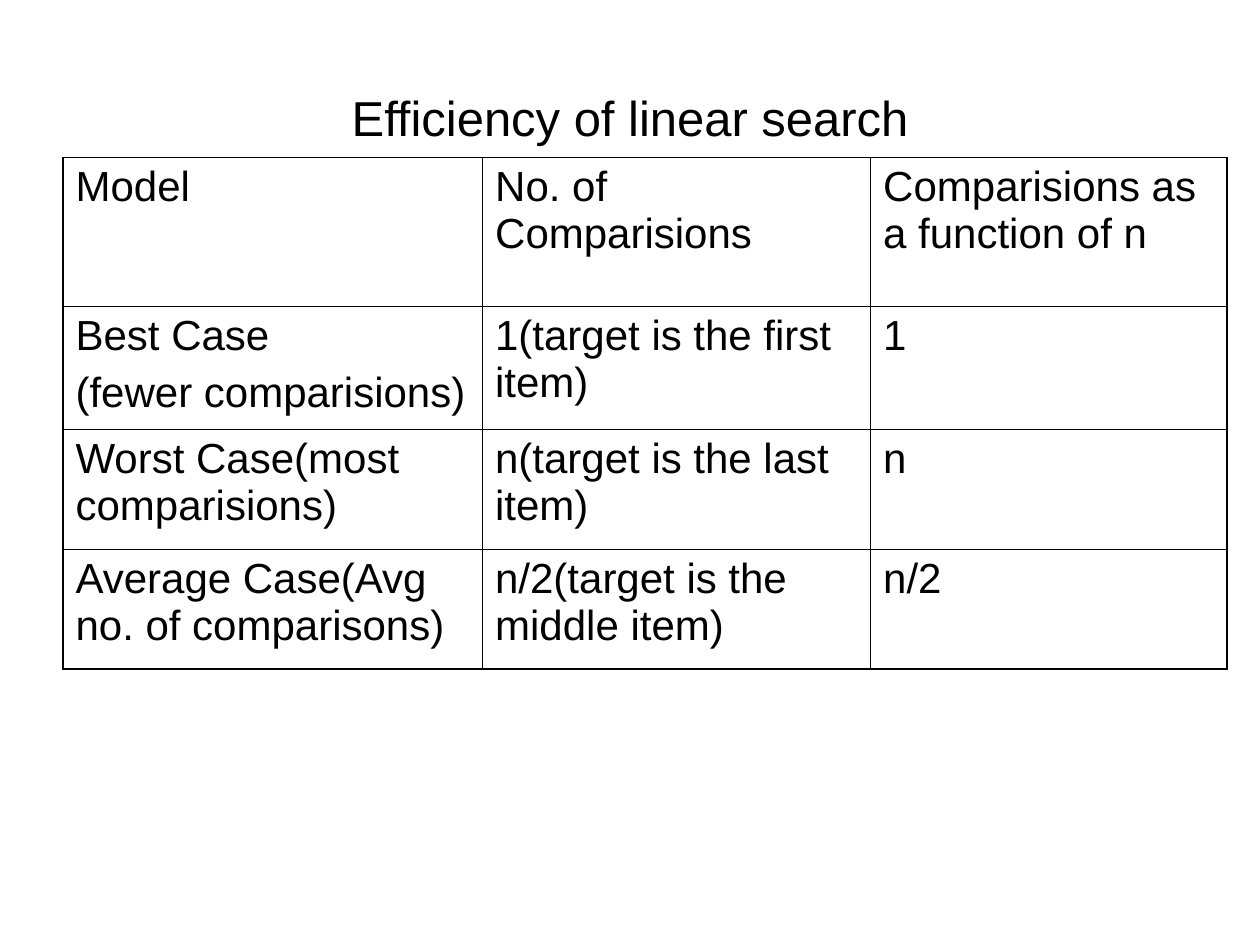
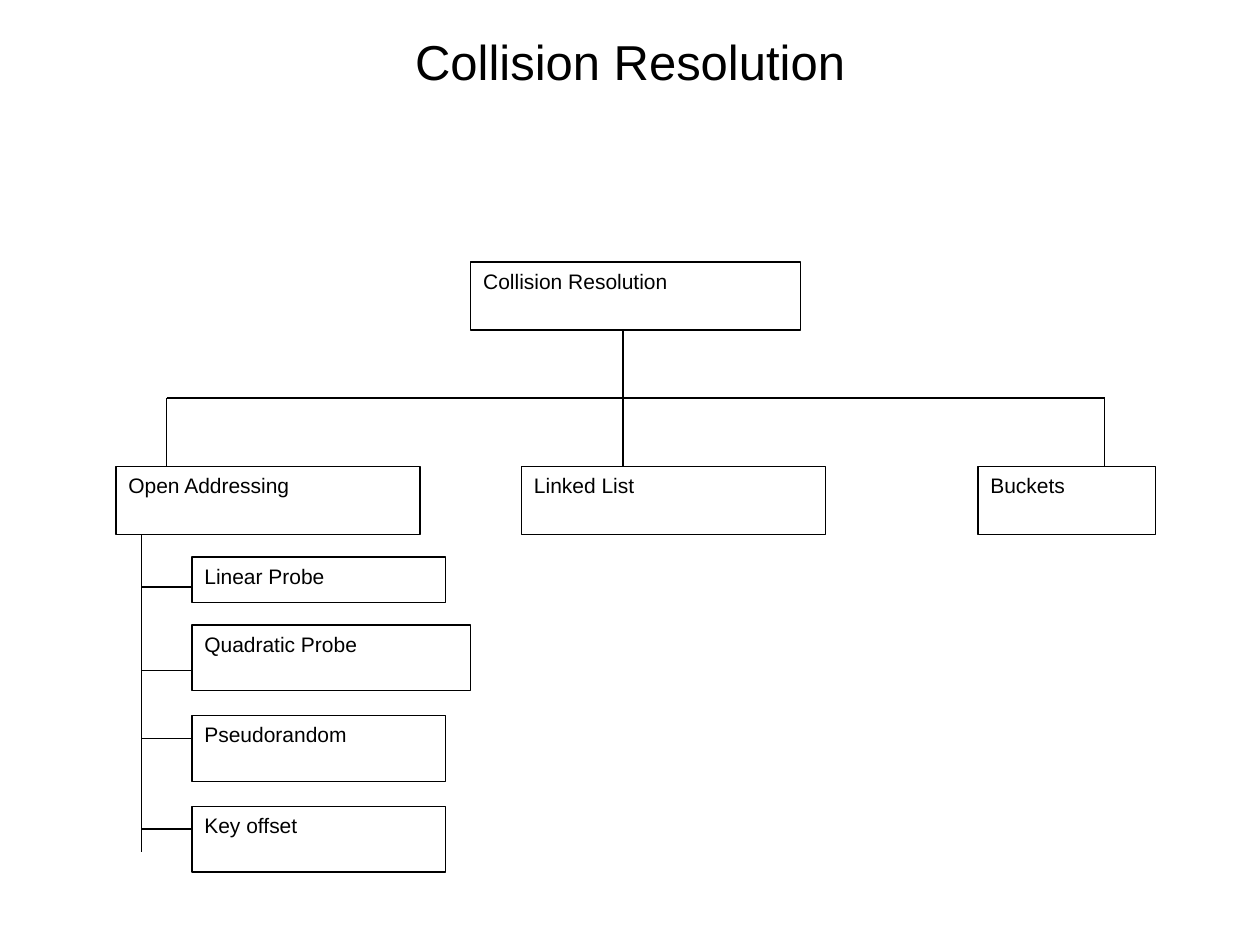
"""Build two slides: a linear search efficiency table and a collision resolution tree."""
import pptx
import pptx.dml.color
import pptx.enum.shapes
import pptx.enum.text
import pptx.oxml
import pptx.oxml.ns
import pptx.util
from lxml import etree

BLACK = pptx.dml.color.RGBColor(0, 0, 0)
WHITE = pptx.dml.color.RGBColor(255, 255, 255)
TITLE_FORMAT = {"name": "Arial", "size": pptx.util.Pt(28), "bold": False}
TABLE_FORMAT = {"name": "Arial", "size": pptx.util.Pt(24), "bold": False}
NODE_FORMAT = {"name": "Arial", "size": pptx.util.Pt(12), "bold": False}
FRAME_FORMAT = {
    "word_wrap": True,
    "vertical_anchor": pptx.enum.text.MSO_ANCHOR.TOP,
    "auto_size": pptx.enum.text.MSO_AUTO_SIZE.NONE,
}

EFFICIENCY_TITLE = "Efficiency of linear search"
EFFICIENCY_ROWS = [
    ("Model", "No. of Comparisions", "Comparisions as a function of n"),
    ("Best Case\n(fewer comparisions)", "1(target is the first item)", "1"),
    ("Worst Case(most comparisions)", "n(target is the last item)", "n"),
    ("Average Case(Avg no. of comparisons)", "n/2(target is the middle item)", "n/2"),
]
COLUMN_WIDTHS = (3.33, 3.08, 2.83)
ROW_HEIGHTS = (1.18, 0.98, 0.95, 0.95)
OUTER_LINE, INNER_LINE = 1.08, 0.45

COLLISION_TITLE = "Collision Resolution"
TREE_LEFT, TREE_TOP = 0.92, 2.08
TREE_COLUMN, TREE_ROW = 8.25 / 41, 0.18
ROOT = ("Collision Resolution", 14, 0, 13, 3)
ROOT_STEM, BRANCH_ROW, METHOD_ROW = 20, 6, 9
METHODS = [
    ("Open Addressing", 0, 12, 2),
    ("Linked List", 16, 12, 20),
    ("Buckets", 34, 7, 39),
]
PROBE_STEM, PROBE_COLUMN, PROBE_END = 1, 3, 26
PROBES = [
    ("Linear Probe", 13, 10, 2, 14.33),
    ("Quadratic Probe", 16, 11, 2.9, 18),
    ("Pseudorandom", 20, 10, 2.9, 21),
    ("Key offset", 24, 10, 2.9, 25),
]


def apply(target, values):
    for name, value in values.items():
        setattr(target, name, value)


def format_paragraph(paragraph, font_format):
    apply(paragraph.font, font_format)
    paragraph.font.color.rgb = BLACK


def add_titled_slide(presentation, text, height):
    slide = presentation.slides.add_slide(presentation.slide_layouts[5])
    title = slide.shapes.title
    apply(title, {
        "left": int(presentation.slide_width * 0.05),
        "top": int(presentation.slide_height * 0.04),
        "width": int(presentation.slide_width * 0.9),
        "height": pptx.util.Inches(height),
    })
    title.text_frame.text = text
    apply(title.text_frame, FRAME_FORMAT)
    title.text_frame.vertical_anchor = pptx.enum.text.MSO_ANCHOR.MIDDLE
    paragraph = title.text_frame.paragraphs[0]
    paragraph.alignment = pptx.enum.text.PP_ALIGN.CENTER
    format_paragraph(paragraph, TITLE_FORMAT)
    return slide


def set_borders(cell, widths):
    properties = cell._tc.get_or_add_tcPr()
    for position, (side, width) in enumerate(widths.items()):
        line = pptx.oxml.parse_xml(
            f'<a:ln{side} {pptx.oxml.ns.nsdecls("a")} w="{int(pptx.util.Pt(width))}">'
            f'<a:solidFill><a:srgbClr val="{BLACK}"/></a:solidFill></a:ln{side}>')
        properties.insert(position, line)


def add_efficiency_table(slide):
    last_row, last_column = len(ROW_HEIGHTS) - 1, len(COLUMN_WIDTHS) - 1
    table = slide.shapes.add_table(
        len(ROW_HEIGHTS), len(COLUMN_WIDTHS), pptx.util.Inches(0.5), pptx.util.Inches(1.25),
        pptx.util.Inches(sum(COLUMN_WIDTHS)), pptx.util.Inches(sum(ROW_HEIGHTS))).table
    apply(table, {"first_row": False, "horz_banding": False})
    for column, width in zip(table.columns, COLUMN_WIDTHS):
        column.width = pptx.util.Inches(width)
    for row_index, (row, height) in enumerate(zip(table.rows, ROW_HEIGHTS)):
        row.height = pptx.util.Inches(height)
        for column_index, cell in enumerate(row.cells):
            cell.text = EFFICIENCY_ROWS[row_index][column_index]
            cell.fill.background()
            outer = {"L": column_index == 0, "R": column_index == last_column,
                     "T": row_index == 0, "B": row_index == last_row}
            set_borders(cell, {side: OUTER_LINE if edge else INNER_LINE
                               for side, edge in outer.items()})
            for index, paragraph in enumerate(cell.text_frame.paragraphs):
                paragraph.space_before = pptx.util.Pt(6 if index else 0)
                format_paragraph(paragraph, TABLE_FORMAT)


def tree_point(column, row):
    return (pptx.util.Inches(TREE_LEFT + column * TREE_COLUMN),
            pptx.util.Inches(TREE_TOP + row * TREE_ROW))


def style_line(line):
    line.color.rgb = BLACK
    line.width = pptx.util.Pt(0.75)


def add_node(slide, text, column, row, columns, rows):
    left, top = tree_point(column, row)
    right, bottom = tree_point(column + columns, row + rows)
    node = slide.shapes.add_shape(
        pptx.enum.shapes.MSO_SHAPE.RECTANGLE, left, top, right - left, bottom - top)
    node.shadow.inherit = False
    node.fill.solid()
    node.fill.fore_color.rgb = WHITE
    style_line(node.line)
    node.text_frame.text = text
    apply(node.text_frame, FRAME_FORMAT)
    paragraph = node.text_frame.paragraphs[0]
    paragraph.alignment = pptx.enum.text.PP_ALIGN.LEFT
    format_paragraph(paragraph, NODE_FORMAT)


def add_link(slide, start, end):
    link = slide.shapes.add_connector(
        pptx.enum.shapes.MSO_CONNECTOR.STRAIGHT, *tree_point(*start), *tree_point(*end))
    style_line(link.line)
    etree.SubElement(link._element.spPr, pptx.oxml.ns.qn("a:effectLst"))


def add_collision_tree(slide):
    add_node(slide, *ROOT)
    add_link(slide, (ROOT_STEM, 3), (ROOT_STEM, BRANCH_ROW))
    add_link(slide, (METHODS[0][-1], BRANCH_ROW), (METHODS[-1][-1], BRANCH_ROW))
    for text, column, columns, stem in METHODS:
        add_node(slide, text, column, METHOD_ROW, columns, 3)
        add_link(slide, (stem, BRANCH_ROW), (stem, METHOD_ROW))
    add_link(slide, (PROBE_STEM, METHOD_ROW + 3), (PROBE_STEM, PROBE_END))
    for text, row, columns, rows, link_row in PROBES:
        add_node(slide, text, PROBE_COLUMN, row, columns, rows)
        add_link(slide, (PROBE_STEM, link_row), (PROBE_COLUMN, link_row))


def main():
    presentation = pptx.Presentation()
    presentation.slide_width = pptx.util.Inches(10)
    presentation.slide_height = pptx.util.Inches(7.5)
    add_efficiency_table(add_titled_slide(presentation, EFFICIENCY_TITLE, 1.25))
    add_collision_tree(add_titled_slide(presentation, COLLISION_TITLE, 0.37))
    presentation.save("out.pptx")


if __name__ == "__main__":
    main()
